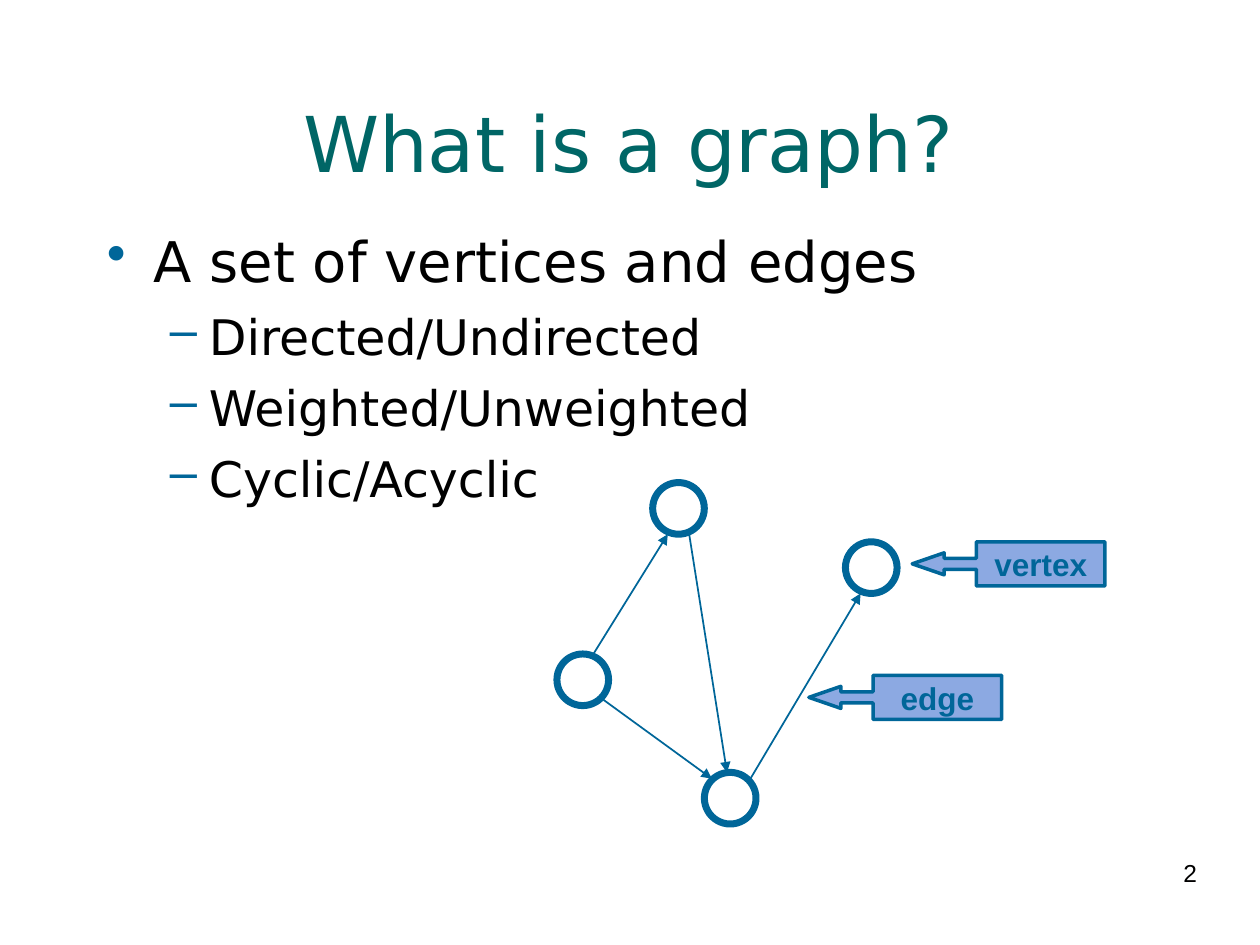
from typing import NamedTuple

from lxml.etree import SubElement
from pptx import Presentation
from pptx.dml.color import RGBColor
from pptx.enum.shapes import MSO_CONNECTOR, MSO_SHAPE
from pptx.enum.text import MSO_ANCHOR, PP_ALIGN
from pptx.oxml.ns import qn
from pptx.util import Inches, Pt

BLUE = "006699"
LABEL_FILL = "8CA9E2"
VERTEX_SIZE = 0.41


class Vertex(NamedTuple):
    left: float
    top: float


class Edge(NamedTuple):
    start: tuple[float, float]
    end: tuple[float, float]


class Label(NamedTuple):
    text: str
    left: float
    top: float


class Bullet(NamedTuple):
    text: str
    level: int = 1


class BulletStyle(NamedTuple):
    symbol: str
    size: int
    margin: float
    hanging: float
    space_before: int


VERTICES = [Vertex(5.18, 3.83), Vertex(4.42, 5.19), Vertex(6.71, 4.3), Vertex(5.59, 6.13)]
EDGES = [
    Edge((4.77, 5.54), (5.65, 6.18)),
    Edge((5.95, 6.19), (6.83, 4.71)),
    Edge((4.71, 5.19), (5.3, 4.24)),
    Edge((5.47, 4.24), (5.77, 6.13)),
]
LABELS = [Label("vertex", 7.24, 4.3), Label("edge", 6.42, 5.36)]
BULLETS = [
    Bullet("A set of vertices and edges", 0),
    Bullet("Directed/Undirected"),
    Bullet("Weighted/Unweighted"),
    Bullet("Cyclic/Acyclic"),
]
BULLET_STYLES = [BulletStyle("•", 32, 0.37, 0.37, 8), BulletStyle("–", 28, 0.81, 0.31, 7)]


def color(value: str) -> RGBColor:
    return RGBColor.from_string(value)


def format_runs(paragraph, size: int, font_name: str, font_color: str, bold: bool = False) -> None:
    for run in paragraph.runs:
        run.font.size = Pt(size)
        run.font.name = font_name
        run.font.color.rgb = color(font_color)
        run.font.bold = bold


def add_text_frame(slide, left: float, top: float, width: float, height: float):
    box = slide.shapes.add_textbox(Inches(left), Inches(top), Inches(width), Inches(height))
    box.text_frame.word_wrap = True
    return box.text_frame


def style_shape(shape, fill: str, line_width: int) -> None:
    shape.shadow.inherit = False
    shape.fill.solid()
    shape.fill.fore_color.rgb = color(fill)
    shape.line.color.rgb = color(BLUE)
    shape.line.width = Pt(line_width)


def add_title(slide, text: str) -> None:
    frame = add_text_frame(slide, 0.48, 0.11, 9.02, 1.44)
    frame.vertical_anchor = MSO_ANCHOR.BOTTOM
    frame.text = text
    paragraph = frame.paragraphs[0]
    paragraph.alignment = PP_ALIGN.CENTER
    paragraph.line_spacing = 0.9
    format_runs(paragraph, 44, "DejaVu Sans", "006666")


def add_page_number(slide, text: str) -> None:
    frame = add_text_frame(slide, 7.17, 6.83, 2.33, 0.52)
    frame.margin_left = frame.margin_right = frame.margin_top = frame.margin_bottom = 0
    frame.text = text
    paragraph = frame.paragraphs[0]
    paragraph.alignment = PP_ALIGN.RIGHT
    paragraph.line_spacing = 0.93
    format_runs(paragraph, 14, "Arial", "010000")


def format_bullet(paragraph, level: int) -> None:
    style = BULLET_STYLES[level]
    paragraph.level = level
    paragraph.space_before = Pt(style.space_before)
    format_runs(paragraph, style.size, "DejaVu Sans", "000000")
    properties = paragraph._p.get_or_add_pPr()
    properties.set("marL", str(Inches(style.margin)))
    properties.set("indent", str(-Inches(style.hanging)))
    bullet_color = SubElement(properties, qn("a:buClr"))
    SubElement(bullet_color, qn("a:srgbClr"), val=BLUE)
    SubElement(properties, qn("a:buChar"), char=style.symbol)


def add_bullets(slide, bullets: list[Bullet]) -> None:
    frame = add_text_frame(slide, 0.75, 1.75, 8.75, 2.35)
    frame.text = "\n".join(bullet.text for bullet in bullets)
    for paragraph, bullet in zip(frame.paragraphs, bullets):
        format_bullet(paragraph, bullet.level)


def add_vertex(slide, vertex: Vertex) -> None:
    shape = slide.shapes.add_shape(
        MSO_SHAPE.OVAL, Inches(vertex.left), Inches(vertex.top),
        Inches(VERTEX_SIZE), Inches(VERTEX_SIZE))
    style_shape(shape, "FFFFFF", 4)


def add_edge(slide, edge: Edge) -> None:
    points = [Inches(value) for value in edge.start + edge.end]
    connector = slide.shapes.add_connector(MSO_CONNECTOR.STRAIGHT, *points)
    connector.line.color.rgb = color(BLUE)
    connector.line.width = Pt(1)
    SubElement(connector.line._get_or_add_ln(), qn("a:tailEnd"), type="triangle")
    SubElement(connector._element.spPr, qn("a:effectLst"))


def add_label(slide, label: Label) -> None:
    shape = slide.shapes.add_shape(
        MSO_SHAPE.LEFT_ARROW_CALLOUT, Inches(label.left), Inches(label.top),
        Inches(1.53), Inches(0.35))
    for index, value in enumerate((0.25, 0.25, 0.725, 0.667)):
        shape.adjustments[index] = value
    style_shape(shape, LABEL_FILL, 2)
    frame = shape.text_frame
    frame.word_wrap = False
    frame.vertical_anchor = MSO_ANCHOR.MIDDLE
    frame.text = label.text
    frame.paragraphs[0].alignment = PP_ALIGN.CENTER
    format_runs(frame.paragraphs[0], 18, "Arial", BLUE, bold=True)


def main() -> None:
    presentation = Presentation()
    presentation.slide_width = Inches(10)
    presentation.slide_height = Inches(7.5)
    slide = presentation.slides.add_slide(presentation.slide_layouts[6])

    # Text
    add_page_number(slide, "2")
    add_title(slide, "What is a graph?")
    add_bullets(slide, BULLETS)

    # Graph
    for vertex in VERTICES:
        add_vertex(slide, vertex)
    for edge in EDGES:
        add_edge(slide, edge)

    # Callouts
    for label in LABELS:
        add_label(slide, label)

    presentation.save("out.pptx")


if __name__ == "__main__":
    main()
